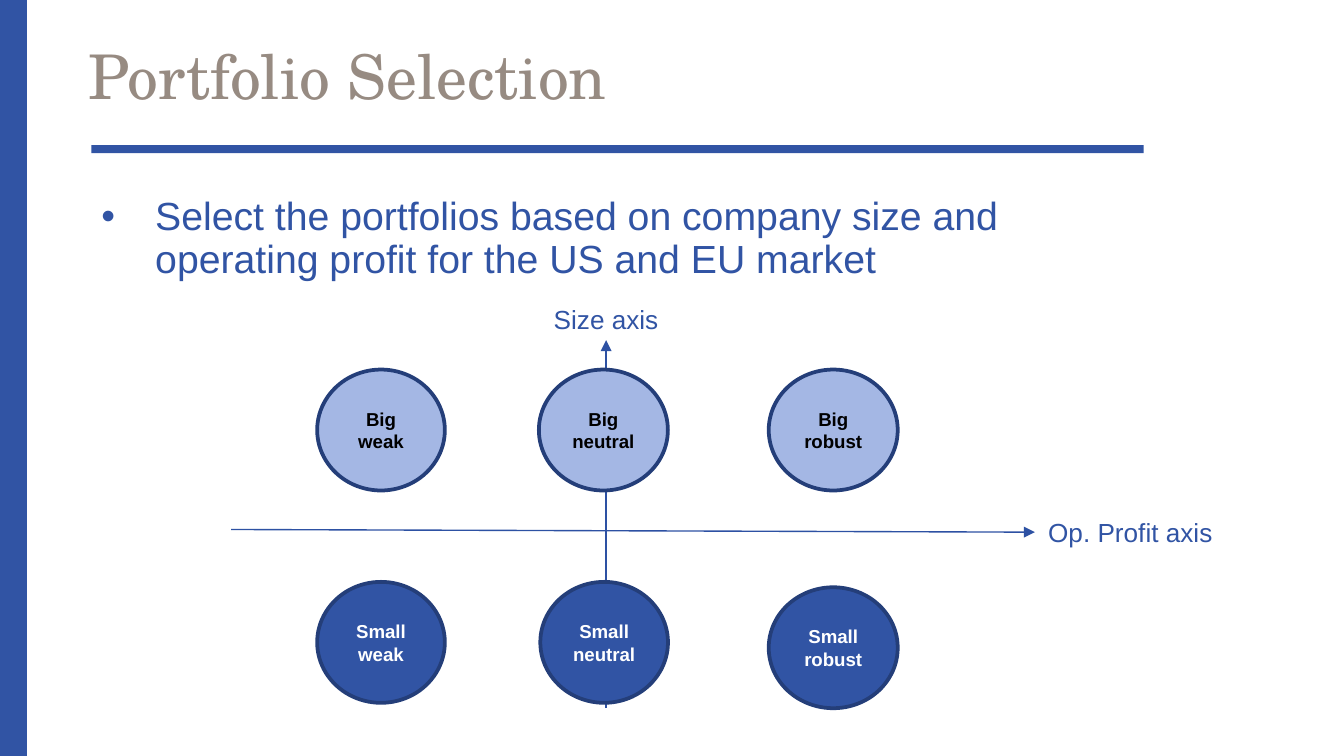
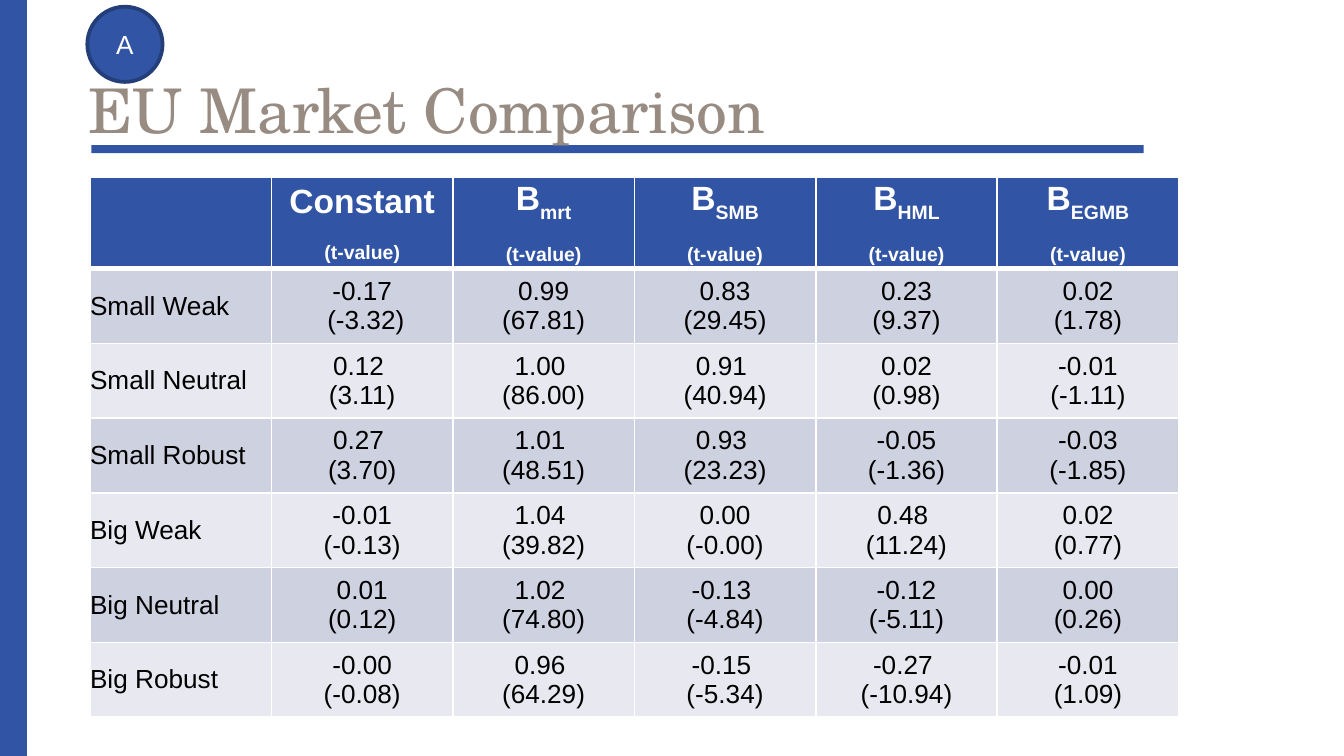
from lxml.etree import SubElement
from pptx import Presentation
from pptx.dml.color import RGBColor
from pptx.enum.shapes import MSO_CONNECTOR, MSO_SHAPE
from pptx.enum.text import MSO_ANCHOR, PP_ALIGN
from pptx.oxml.ns import qn
from pptx.util import Emu, Inches, Pt

BLUE = RGBColor(0x31, 0x54, 0xA4)
AXIS_BLUE = RGBColor(0x2D, 0x51, 0xA3)
OUTLINE = RGBColor(0x24, 0x3E, 0x79)
PALE_BLUE = RGBColor(0xA4, 0xB7, 0xE4)
TAUPE = RGBColor(0x97, 0x8B, 0x82)
ROW_DARK = RGBColor(0xCE, 0xD1, 0xE0)
ROW_LIGHT = RGBColor(0xE8, 0xE9, 0xF0)
WHITE = RGBColor(0xFF, 0xFF, 0xFF)
BLACK = RGBColor(0, 0, 0)

BODY_FONT = "Arial"
TITLE_FONT = "TeX Gyre Schola"

COLUMNS, ROWS = 100, 56.25
SLIDE_WIDTH = Inches(10)
CELL = SLIDE_WIDTH / COLUMNS
TITLE_INSET = 0.75

FACTORS = ("mrt", "SMB", "HML", "EGMB")
ESTIMATES = {
    "Small Weak": ("-0.17| (-3.32)", "0.99|(67.81)", "0.83|(29.45)", "0.23|(9.37)", "0.02|(1.78)"),
    "Small Neutral": ("0.12 |(3.11)", "1.00 |(86.00)", "0.91 |(40.94)", "0.02|(0.98)", "-0.01|(-1.11)"),
    "Small Robust": ("0.27 |(3.70)", "1.01 |(48.51)", "0.93 |(23.23)", "-0.05|(-1.36)", "-0.03|(-1.85)"),
    "Big Weak": ("-0.01|(-0.13)", "1.04 |(39.82)", "0.00|(-0.00)", "0.48 |(11.24)", "0.02|(0.77)"),
    "Big Neutral": ("0.01|(0.12)", "1.02 |(74.80)", "-0.13 |(-4.84)", "-0.12|(-5.11)", "0.00|(0.26)"),
    "Big Robust": ("-0.00|(-0.08)", "0.96 |(64.29)", "-0.15 |(-5.34)", "-0.27 |(-10.94)", "-0.01|(1.09)"),
}


def grid(*counts):
    return [Emu(round(count * CELL)) for count in counts]


def add_run(paragraph, text, size, color, bold=False, font=BODY_FONT, subscript=False):
    run = paragraph.add_run()
    run.text = text
    run.font.name = font
    run.font.size = Pt(size)
    run.font.bold = bold
    run.font.color.rgb = color
    if subscript:
        run._r.get_or_add_rPr().set("baseline", "-25000")


def set_insets(frame, inset):
    (inset,) = grid(inset)
    frame.margin_left = frame.margin_right = inset
    frame.margin_top = frame.margin_bottom = inset


def add_band(slide, *place):
    band = slide.shapes.add_shape(MSO_SHAPE.RECTANGLE, *grid(*place))
    band.shadow.inherit = False
    band.fill.solid()
    band.fill.fore_color.rgb = BLUE
    band.line.fill.background()
    slide.slide_layout.shapes.element.append(band.element)


def add_titled_slide(deck, layout, title, room_below=0):
    slide = deck.slides.add_slide(layout)
    heading = slide.shapes.title
    heading.left, heading.top, heading.width, heading.height = grid(5.8, 3, 86.2, 10.9)
    frame = heading.text_frame
    frame.word_wrap = True
    frame.vertical_anchor = MSO_ANCHOR.MIDDLE
    set_insets(frame, TITLE_INSET)
    (frame.margin_bottom,) = grid(TITLE_INSET + room_below)
    paragraph = frame.paragraphs[0]
    paragraph.alignment = PP_ALIGN.LEFT
    paragraph.line_spacing = 0.9
    add_run(paragraph, title, 33, TAUPE, font=TITLE_FONT)
    return slide


def add_text(slide, place, text, size, align=PP_ALIGN.LEFT):
    frame = slide.shapes.add_textbox(*grid(*place)).text_frame
    frame.word_wrap = True
    paragraph = frame.paragraphs[0]
    paragraph.alignment = align
    add_run(paragraph, text, size, BLUE)
    return frame


def add_bullet(slide, place, text):
    frame = add_text(slide, place, text, 21)
    set_insets(frame, TITLE_INSET)
    paragraph = frame.paragraphs[0]
    properties = paragraph._p.get_or_add_pPr()
    properties.set("marL", str(Inches(0.5)))
    properties.set("indent", str(-Inches(0.4)))
    bullet_color = SubElement(properties, qn("a:buClr"))
    SubElement(bullet_color, qn("a:srgbClr"), val=str(BLUE))
    SubElement(properties, qn("a:buFont"), typeface=BODY_FONT)
    SubElement(properties, qn("a:buChar"), char="•")
    paragraph.line_spacing = 0.9


def add_axis(slide, *ends):
    axis = slide.shapes.add_connector(MSO_CONNECTOR.STRAIGHT, *grid(*ends))
    axis.line.color.rgb = AXIS_BLUE
    axis.line.width = Pt(0.75)
    SubElement(axis.line._get_or_add_ln(), qn("a:tailEnd"), type="triangle")
    SubElement(axis._element.spPr, qn("a:effectLst"))


def add_circle(slide, place, text, size, fill, color, bold=False):
    circle = slide.shapes.add_shape(MSO_SHAPE.OVAL, *grid(*place))
    circle.shadow.inherit = False
    circle.fill.solid()
    circle.fill.fore_color.rgb = fill
    circle.line.color.rgb = OUTLINE
    circle.line.width = Pt(2)
    frame = circle.text_frame
    frame.word_wrap = True
    frame.vertical_anchor = MSO_ANCHOR.MIDDLE
    paragraph = frame.paragraphs[0]
    paragraph.alignment = PP_ALIGN.CENTER
    add_run(paragraph, text, size, color, bold)


def style_cell(cell, fill, top=1, bottom=1):
    properties = cell._tc.get_or_add_tcPr()
    for side, width in (("L", 1), ("R", 1), ("T", top), ("B", bottom)):
        border = SubElement(properties, qn(f"a:ln{side}"), w=str(Pt(width)))
        SubElement(SubElement(border, qn("a:solidFill")), qn("a:srgbClr"), val=str(WHITE))
    cell.fill.solid()
    cell.fill.fore_color.rgb = fill
    cell.vertical_anchor = MSO_ANCHOR.MIDDLE
    cell.margin_left = cell.margin_right = cell.margin_top = cell.margin_bottom = 0


def two_lines(cell):
    frame = cell.text_frame
    lines = frame.paragraphs[0], frame.add_paragraph()
    for line in lines:
        line.alignment = PP_ALIGN.CENTER
    return lines


def fill_header(cells):
    for cell in cells:
        style_cell(cell, BLUE, bottom=3)
    for cell, factor in zip(cells[1:], (None,) + FACTORS):
        name, note = two_lines(cell)
        add_run(name, "Β" if factor else "Constant", 18, WHITE, True)
        if factor:
            add_run(name, factor, 18, WHITE, True, subscript=True)
        add_run(note, "(t-value)", 18, WHITE, True, subscript=True)


def add_estimates_table(slide):
    columns = len(FACTORS) + 2
    table = slide.shapes.add_table(
        len(ESTIMATES) + 1, columns, *grid(6.7, 13.2, 13.5 * columns, 40.2)
    ).table
    for column in table.columns:
        (column.width,) = grid(13.5)
    for number, row in enumerate(table.rows):
        (row.height,) = grid(5.56 if number else 6.8)
    fill_header(list(table.rows[0].cells))
    for number, (portfolio, estimates) in enumerate(ESTIMATES.items(), 1):
        cells = list(table.rows[number].cells)
        for cell in cells:
            style_cell(cell, ROW_DARK if number % 2 else ROW_LIGHT, top=3 if number == 1 else 1)
        add_run(cells[0].text_frame.paragraphs[0], portfolio, 14, BLACK)
        for cell, estimate in zip(cells[1:], estimates):
            for line, figure in zip(two_lines(cell), estimate.split("|")):
                add_run(line, figure, 14, BLACK)


def add_portfolio_map(slide):
    add_axis(slide, 45.1, 52.7, 45.1, 25.3)
    add_axis(slide, 17.2, 39.4, 77, 39.6)
    add_text(slide, (77, 37.9, 16.5, 3.4), "Op. Profit axis", 14)
    add_text(slide, (39.9, 22.1, 10.4, 3.4), "Size axis", 14, PP_ALIGN.CENTER)
    big_row = (("Big weak", 23.6, 9.5), ("Big neutral", 40.1, 9.6), ("Big robust", 57.2, 9.6))
    small_row = (("Small weak", 23.6, 9.5), ("Small neutral", 40.2, 9.5))
    rows = (
        (big_row, 27.5, PALE_BLUE, BLACK),
        (small_row, 43.3, BLUE, WHITE),
        ((("Small robust", 57.2, 9.6),), 43.7, BLUE, WHITE),
    )
    for portfolios, top, fill, color in rows:
        for label, left, width in portfolios:
            add_circle(slide, (left, top, width, 9), label, 10, fill, color, True)


def main():
    deck = Presentation()
    deck.slide_width, deck.slide_height = grid(COLUMNS, ROWS)
    layout = deck.slide_layouts[5]
    for placeholder in list(layout.placeholders)[1:]:
        layout.shapes.element.remove(placeholder.element)

    selection = add_titled_slide(deck, layout, "Portfolio Selection", room_below=5)
    add_band(selection, 6.8, 10.8, 78.3, 0.6)
    add_band(selection, 0, 0, 2, ROWS)
    add_bullet(
        selection,
        (5.8, 13.9, 79.1, 8.2),
        "Select the portfolios based on company size and operating profit for the US and EU market",
    )
    add_portfolio_map(selection)

    comparison = add_titled_slide(deck, layout, "EU Market Comparison")
    add_estimates_table(comparison)
    add_circle(comparison, (6.5, 0.5, 5.6, 5.6), "A", 14, BLUE, WHITE)

    deck.save("out.pptx")


if __name__ == "__main__":
    main()
